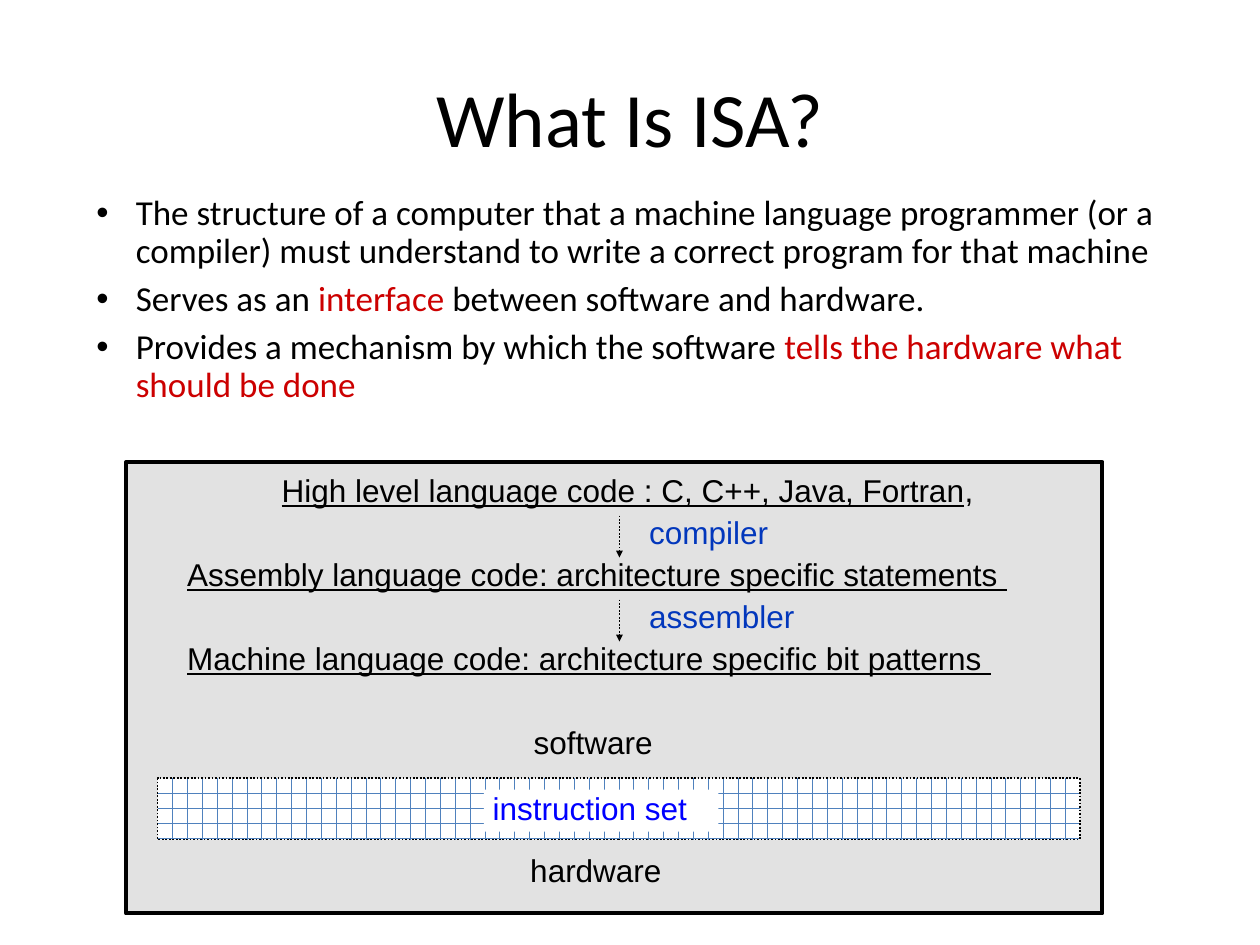
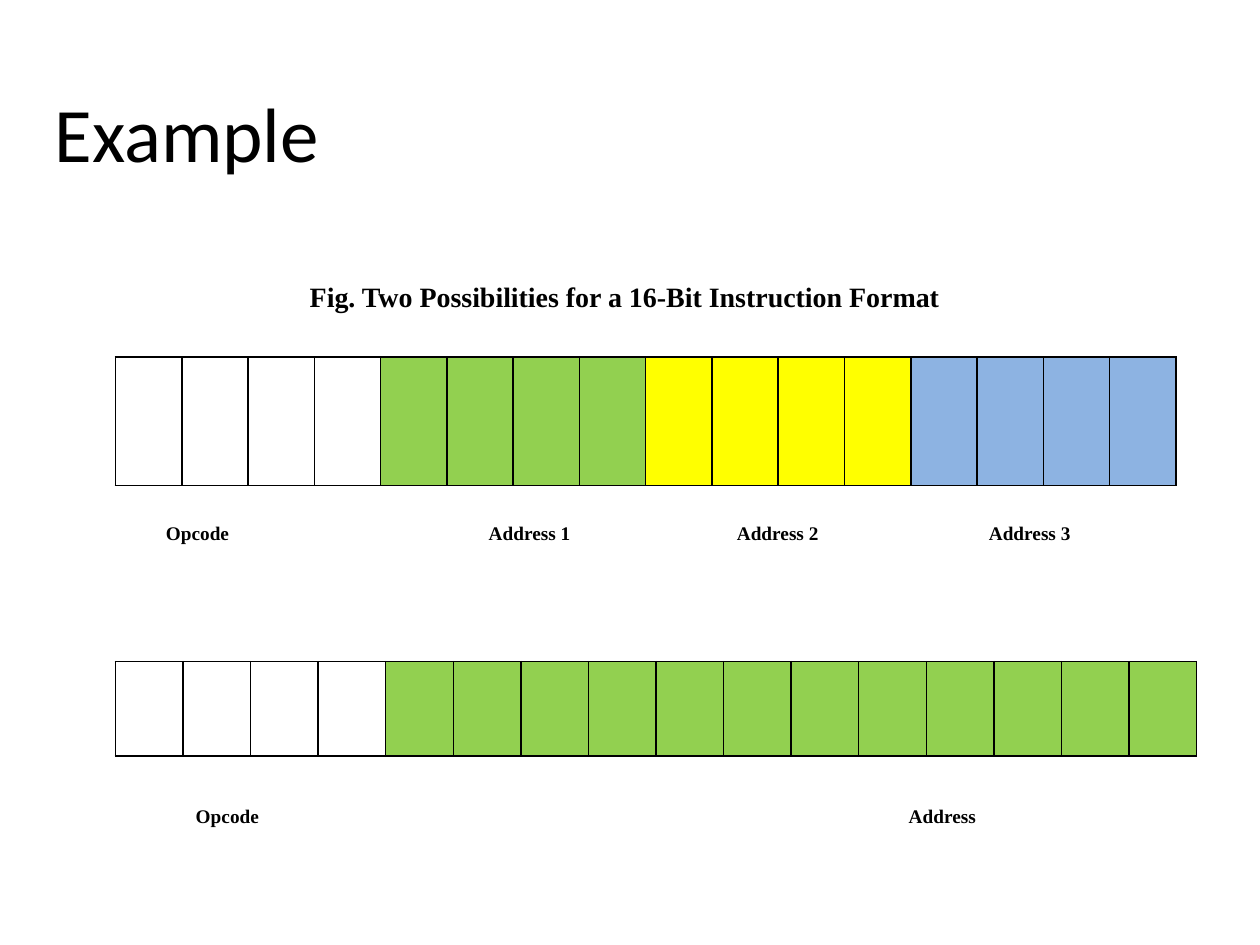
from lxml import etree
from pptx import Presentation
from pptx.dml.color import RGBColor
from pptx.enum.dml import MSO_LINE, MSO_PATTERN
from pptx.enum.shapes import MSO_CONNECTOR, MSO_SHAPE
from pptx.enum.text import MSO_ANCHOR, MSO_AUTO_SIZE, PP_ALIGN
from pptx.oxml.ns import qn
from pptx.util import Pt

LEFT, CENTER = PP_ALIGN.LEFT, PP_ALIGN.CENTER
TOP, MIDDLE = MSO_ANCHOR.TOP, MSO_ANCHOR.MIDDLE
DOTTED = MSO_LINE.ROUND_DOT
BRICK = MSO_PATTERN.HORIZONTAL_BRICK
RECT, STRAIGHT = MSO_SHAPE.RECTANGLE, MSO_CONNECTOR.STRAIGHT
TITLE_ONLY = 5

COLORS = {
    "black": "000000", "white": "FFFFFF", "red": "CC0000", "gray": "E2E2E2",
    "brick": "4F81BD", "blue": "0000FF", "navy": "0237BC",
    "green": "92D050", "yellow": "FFFF00", "sky": "8DB3E2",
}


def rgb(name):
    return RGBColor.from_string(COLORS[name])


def write(tf, paragraphs, font="Calibri", size=20, color="black", bold=None,
          underline=None, align=LEFT, anchor=TOP, inset=(7.2, 3.6), spacing=None,
          before=0, bullet=None, hanging=0):
    """Fill a text frame; a paragraph is a list of (text, overrides) runs."""
    tf.word_wrap = True
    tf.auto_size = MSO_AUTO_SIZE.NONE
    tf.vertical_anchor = anchor
    tf.margin_left = tf.margin_right = Pt(inset[0])
    tf.margin_top = tf.margin_bottom = Pt(inset[1])
    if isinstance(paragraphs, str):
        paragraphs = [[(paragraphs, {})]]
    for i, runs in enumerate(paragraphs):
        p = tf.add_paragraph() if i else tf.paragraphs[0]
        p.alignment = align
        if spacing:
            p.line_spacing = spacing
        if i and before:
            p.space_before = Pt(before)
        if bullet:
            pPr = p._p.get_or_add_pPr()
            pPr.set("marL", str(Pt(hanging)))
            pPr.set("indent", str(Pt(-hanging)))
            etree.SubElement(pPr, qn("a:buFont"), typeface="Arial")
            etree.SubElement(pPr, qn("a:buChar"), char=bullet)
        for text, over in runs:
            r = p.add_run()
            r.text = text
            r.font.name, r.font.size, r.font.bold = font, Pt(size), bold
            r.font.underline = over.get("underline", underline)
            r.font.color.rgb = rgb(over.get("color", color))


class Deck:
    def __init__(self, width, height):
        self.prs = Presentation()
        self.prs.slide_width, self.prs.slide_height = Pt(width), Pt(height)
        self.s = None

    def slide(self, title, x, y, align):
        self.s = self.prs.slides.add_slide(self.prs.slide_layouts[TITLE_ONLY])
        sp = self.s.shapes.title
        sp.left, sp.top, sp.width, sp.height = Pt(x), Pt(y), Pt(648), Pt(90)
        write(sp.text_frame, title, size=44, align=align, anchor=MIDDLE)

    def text(self, paragraphs, x, y, w, h, **style):
        sp = self.s.shapes.add_textbox(Pt(x), Pt(y), Pt(w), Pt(h))
        write(sp.text_frame, paragraphs, **style)

    def rect(self, x, y, w, h, fill, line=None, dash=None, pattern=None):
        sp = self.s.shapes.add_shape(RECT, Pt(x), Pt(y), Pt(w), Pt(h))
        sp.shadow.inherit = False
        if pattern:
            sp.fill.patterned()
            sp.fill.pattern = pattern
            sp.fill.fore_color.rgb = rgb(fill)
            sp.fill.back_color.rgb = rgb("white")
        else:
            sp.fill.solid()
            sp.fill.fore_color.rgb = rgb(fill)
        if line:
            self.stroke(sp.line, line, dash)
        else:
            sp.line.fill.background()
        return sp

    def stroke(self, line, width, dash=None):
        line.color.rgb = rgb("black")
        line.width = Pt(width)
        if dash:
            line.dash_style = dash

    def arrow(self, x, top, bottom):
        c = self.s.shapes.add_connector(STRAIGHT, Pt(x), Pt(top), Pt(x), Pt(bottom))
        self.stroke(c.line, 1, DOTTED)
        etree.SubElement(c.line._get_or_add_ln(), qn("a:tailEnd"),
                         type="triangle", w="sm", len="sm")
        etree.SubElement(c._element.spPr, qn("a:effectLst"))

    def bits(self, x, y, w, h, fields):
        """Draw one row of bit cells; fields lists (bit count, colour)."""
        fills = [color for count, color in fields for _ in range(count)]
        table = self.s.shapes.add_table(1, len(fills), Pt(x), Pt(y), Pt(w), Pt(h)).table
        table.first_row = table.horz_banding = False
        for i, color in enumerate(fills):
            table.columns[i].width = Pt(w / len(fills))
            cell = table.cell(0, i)
            self.borders(cell)
            if color:
                cell.fill.solid()
                cell.fill.fore_color.rgb = rgb(color)
            else:
                cell.fill.background()

    def borders(self, cell):
        tcPr = cell._tc.get_or_add_tcPr()
        for side in ("lnL", "lnR", "lnT", "lnB"):
            ln = etree.SubElement(tcPr, qn(f"a:{side}"), w=str(Pt(1)))
            fill = etree.SubElement(ln, qn("a:solidFill"))
            etree.SubElement(fill, qn("a:srgbClr"), val=COLORS["black"])


def isa_slide(deck):
    deck.slide("What Is ISA?", 36, 21.6, CENTER)
    red = {"color": "red"}
    deck.text([
        [("The structure of a computer that a machine language programmer (or a "
          "compiler) must understand to write a correct program for that machine", {})],
        [("Serves as an ", {}), ("interface", red),
         (" between software and hardware.", {})],
        [("Provides a mechanism by which the software ", {}),
         ("tells the hardware what should be done", red)],
    ], 48, 108, 630, 131, spacing=0.9, before=6, bullet="•", hanging=22.5)

    deck.rect(72, 264, 558, 258, "gray", line=2.25)
    deck.rect(90, 444.75, 527, 35, "brick", line=1, dash=DOTTED, pattern=BRICK)
    label = {"font": "Arial", "size": 18, "inset": (5, 1.9)}
    sp = deck.rect(276.5, 451.2, 134, 24, "white")
    write(sp.text_frame, "instruction set", color="blue", spacing=0.92, **label)

    label["spacing"] = 0.85
    first_row, row_step = 270.6, 24
    languages = [
        (156, 427, [("High level language code : C, C++, Java, Fortran", {}),
                    (",", {"underline": False})]),
        (102, 517, [("Assembly language code: architecture specific statements ", {})]),
        (102, 507, [("Machine language code: architecture specific bit patterns ", {})]),
    ]
    for i, (x, w, runs) in enumerate(languages):
        deck.text([runs], x, first_row + 2 * i * row_step, w, 22.5,
                  underline=True, **label)
    for i, tool in enumerate(("compiler", "assembler")):
        y = first_row + (2 * i + 1) * row_step
        deck.arrow(354, y, y + row_step)
        deck.text(tool, 366, y, 100, 22.5, color="navy", **label)
    deck.text("software", 300, first_row + 6 * row_step, 90, 22.5, **label)
    deck.text("hardware", 298, 488, 90, 22.5, **label)


def example_slide(deck):
    deck.slide("Example", 24, 30, LEFT)
    label = {"font": "Times New Roman", "bold": True, "anchor": MIDDLE}
    deck.bits(66, 204, 606, 73.5,
              [(4, None), (4, "green"), (4, "yellow"), (4, "sky")])
    deck.bits(66, 378, 618, 54, [(4, None), (12, "green")])
    field_rows = [
        (294, [("Opcode", 87.7), ("Address 1", 272.2),
               ("Address 2", 414), ("Address 3", 558)]),
        (455.5, [("Opcode", 104.8), ("Address", 512.2)]),
    ]
    for y, fields in field_rows:
        for name, x in fields:
            deck.text(name, x, y, 80, 21, size=11, **label)
    deck.text("Fig. Two Possibilities for a 16-Bit Instruction Format",
              18, 156, 678, 26.5, size=16, align=CENTER, **label)


def main():
    deck = Deck(720, 540)
    isa_slide(deck)
    example_slide(deck)
    deck.prs.save("out.pptx")


if __name__ == "__main__":
    main()
